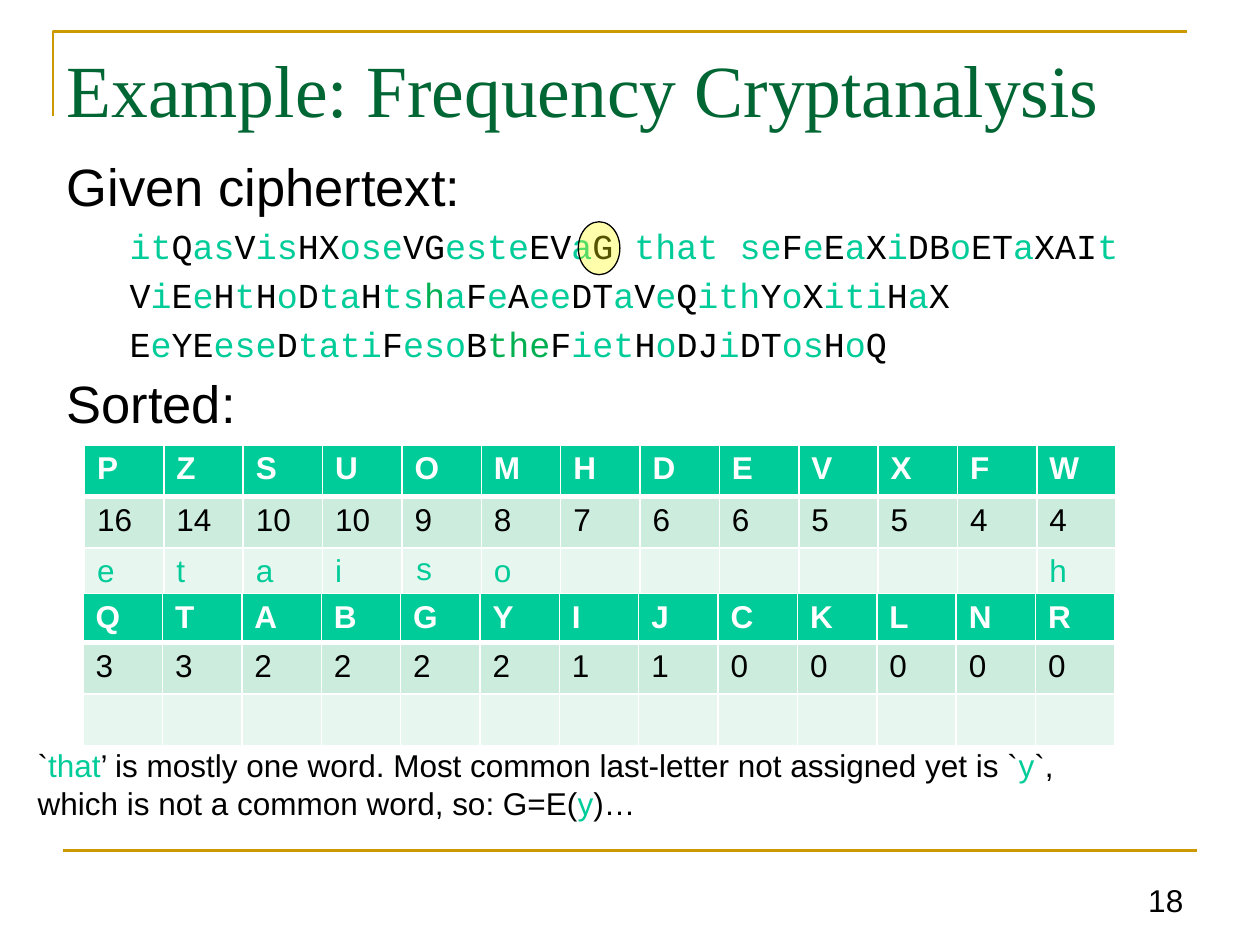
import dataclasses
import itertools
import typing

import lxml.etree
import pptx
import pptx.dml.color
import pptx.enum.shapes
import pptx.enum.text
import pptx.oxml.ns
import pptx.util

Inches = pptx.util.Inches
Pt = pptx.util.Pt
qn = pptx.oxml.ns.qn
ANCHOR = pptx.enum.text.MSO_ANCHOR
ALIGN = pptx.enum.text.PP_ALIGN

BLACK, WHITE, GOLD, TITLE_GREEN = "000000", "FFFFFF", "CC9900", "006633"
TEAL, GREEN = "00CC99", "00B050"
ROW_FILLS = (TEAL, "CCECDE", "E7F6EF")
ROW_INKS = (WHITE, BLACK, TEAL)


class Run(typing.NamedTuple):
    text: str
    color: str = BLACK


@dataclasses.dataclass
class Para:
    runs: list[Run]
    size: float
    font: str = "Arial"
    margin: float = 0
    hanging: float = 0
    format: dict = dataclasses.field(default_factory=dict)


@dataclasses.dataclass
class FrequencyTable:
    left: float
    top: float
    header_height: float
    letters: str
    counts: list[int]
    guesses: dict[str, str]


def rgb(color: str) -> pptx.dml.color.RGBColor:
    return pptx.dml.color.RGBColor.from_string(color)


def cipher_runs(line: str) -> list[Run]:
    """Solved (lowercase) letters are teal, or green between bars; the rest is black."""
    runs = []
    for i, part in enumerate(line.split("|")):
        solved = GREEN if i % 2 else TEAL
        for upper, chars in itertools.groupby(part, str.isupper):
            runs.append(Run("".join(chars), BLACK if upper else solved))
    return runs


def note_runs(text: str) -> list[Run]:
    """Text between bars is teal."""
    return [Run(part, TEAL if i % 2 else BLACK) for i, part in enumerate(text.split("|"))]


def style_font(r, size: float, color: str, name: str = "Arial", bold: bool = False) -> None:
    for key, value in {"size": Pt(size), "name": name, "bold": bold}.items():
        setattr(r.font, key, value)
    r.font.color.rgb = rgb(color)


def write_para(p, para: Para) -> None:
    for key, value in para.format.items():
        setattr(p, key, value)
    if para.margin:
        pPr = p._p.get_or_add_pPr()
        pPr.set("marL", str(Inches(para.margin)))
        pPr.set("indent", str(-Inches(para.hanging)))
    for run in para.runs:
        for i, piece in enumerate(run.text.split("\n")):
            if i:
                p.add_line_break()
            r = p.add_run()
            r.text = piece
            style_font(r, para.size, run.color, para.font)


def fill_frame(sp, paras: list[Para], wrap: bool = True, anchor=ANCHOR.TOP) -> None:
    tf = sp.text_frame
    settings = {"word_wrap": wrap, "vertical_anchor": anchor,
                "auto_size": pptx.enum.text.MSO_AUTO_SIZE.NONE}
    for key, value in settings.items():
        setattr(tf, key, value)
    for i, para in enumerate(paras):
        write_para(tf.add_paragraph() if i else tf.paragraphs[0], para)


def add_border(cell, side: str, width: float) -> None:
    ln = lxml.etree.SubElement(cell._tc.get_or_add_tcPr(), qn(f"a:ln{side}"), w=str(Pt(width)))
    fill = lxml.etree.SubElement(ln, qn("a:solidFill"))
    lxml.etree.SubElement(fill, qn("a:srgbClr"), val=WHITE)


def add_frequency_table(slide, spec: FrequencyTable) -> None:
    heights = (spec.header_height, 0.41, 0.41)
    rows = (spec.letters, spec.counts, [spec.guesses.get(c, "") for c in spec.letters])
    table = slide.shapes.add_table(
        len(rows), len(spec.letters), Inches(spec.left), Inches(spec.top),
        Inches(8.19), Inches(sum(heights))).table
    for i, (height, values) in enumerate(zip(heights, rows)):
        table.rows[i].height = Inches(height)
        for j, value in enumerate(values):
            cell = table.cell(i, j)
            borders = {"L": 1, "R": 1, "T": 1, "B": 3} if i == 0 else {"L": 1, "R": 1, "B": 1}
            for side, width in borders.items():
                add_border(cell, side, width)
            cell.fill.solid()
            cell.fill.fore_color.rgb = rgb(ROW_FILLS[i])
            if value != "":
                r = cell.text_frame.paragraphs[0].add_run()
                r.text = str(value)
                style_font(r, 18, ROW_INKS[i], "Courier New" if value == "s" else "Arial", i == 0)


def style_line(sp, color: str, width: float) -> None:
    sp.line.color.rgb = rgb(color)
    sp.line.width = Pt(width)


def add_frame_lines(slide) -> None:
    builder = slide.shapes.build_freeform(Inches(0.42), Inches(0.92))
    builder.add_line_segments(
        [(Inches(0.42), Inches(0.25)), (Inches(9.42), Inches(0.25))], close=False)
    corner = builder.convert_to_shape()
    corner.fill.background()
    corner.shadow.inherit = False
    rule = slide.shapes.add_connector(
        pptx.enum.shapes.MSO_CONNECTOR.STRAIGHT,
        Inches(0.5), Inches(6.75), Inches(9.5), Inches(6.75))
    lxml.etree.SubElement(rule._element.spPr, qn("a:effectLst"))
    for sp in (corner, rule):
        style_line(sp, GOLD, 1.5)


def add_highlight(slide) -> None:
    sp = slide.shapes.add_shape(
        pptx.enum.shapes.MSO_SHAPE.OVAL, Inches(4.59), Inches(1.76), Inches(0.33), Inches(0.42))
    sp.shadow.inherit = False
    sp.fill.solid()
    sp.fill.fore_color.rgb = rgb("FFFF00")
    color = sp._element.spPr.find(qn("a:solidFill")).find(qn("a:srgbClr"))
    lxml.etree.SubElement(color, qn("a:alpha"), val="33000")
    style_line(sp, BLACK, 0.75)


def add_text(slide, box: tuple, paras: list[Para], **frame) -> None:
    fill_frame(slide.shapes.add_textbox(*map(Inches, box)), paras, **frame)


CIPHERTEXT = (
    "itQasVisHXoseVGesteEVaG that seFeEaXiDBoETaXAIt",
    "ViEeHtHoDtaHts|h|aFeAeeDTaVeQithYoXitiHaX",
    "EeYEeseDtatiFesoB|the|FietHoDJiDTosHoQ",
)
NOTE = ("`|that|’ is mostly one word. Most common last-letter not assigned yet is `|y|`, \n"
        "which is not a common word, so: G=E(|y|)…")
TABLES = (
    FrequencyTable(0.67, 3.53, 0.41, "PZSUOMHDEVXFW",
                   [16, 14, 10, 10, 9, 8, 7, 6, 6, 5, 5, 4, 4],
                   dict(zip("PZSUOMW", "etaisoh"))),
    FrequencyTable(0.66, 4.71, 0.39, "QTABGYIJCKLNR",
                   [3, 3, 2, 2, 2, 2, 1, 1, 0, 0, 0, 0, 0], {}),
)


def heading(text: str) -> Para:
    return Para([Run(text)], 30, margin=0.38, hanging=0.38,
                format={"line_spacing": 0.9, "space_before": Pt(7.5)})


def cipher_line(line: str) -> Para:
    return Para(cipher_runs(line), 20, "Courier New", 0.81, 0.31,
                {"level": 1, "line_spacing": 0.9, "space_before": Pt(6.5)})


def main() -> None:
    prs = pptx.Presentation()
    prs.slide_width, prs.slide_height = Inches(10), Inches(7.5)
    slide = prs.slides.add_slide(prs.slide_layouts[5])
    add_frame_lines(slide)

    title = slide.shapes.title
    for key, value in {"left": 0.43, "top": 0.3, "width": 9.07, "height": 1.5}.items():
        setattr(title, key, Inches(value))
    fill_frame(title, [Para([Run("Example: Frequency Cryptanalysis", TITLE_GREEN)], 42,
                            "Times New Roman", format={"alignment": ALIGN.LEFT})])

    add_text(slide, (0.43, 1.23, 9.42, 2.3),
             [heading("Given ciphertext:"), *map(cipher_line, CIPHERTEXT), heading("Sorted:")])
    for spec in TABLES:
        add_frequency_table(slide, spec)
    add_text(slide, (0.2, 5.87, 8.41, 0.71), [Para(note_runs(NOTE), 18)], wrap=False)
    add_highlight(slide)
    add_text(slide, (8.96, 6.85, 0.53, 0.49),
             [Para([Run("18")], 18, format={"alignment": ALIGN.RIGHT})], anchor=ANCHOR.BOTTOM)
    prs.save("out.pptx")


if __name__ == "__main__":
    main()
